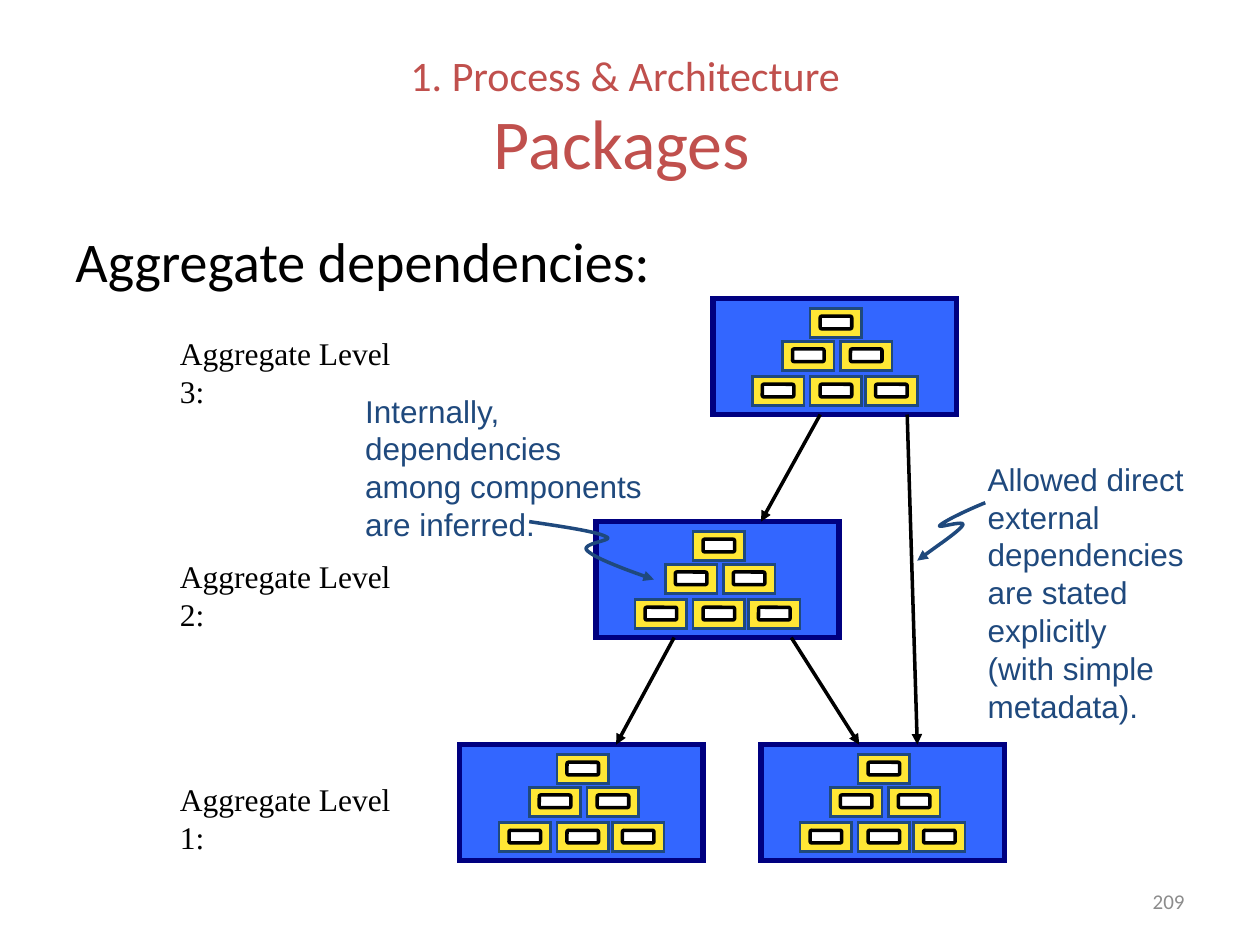
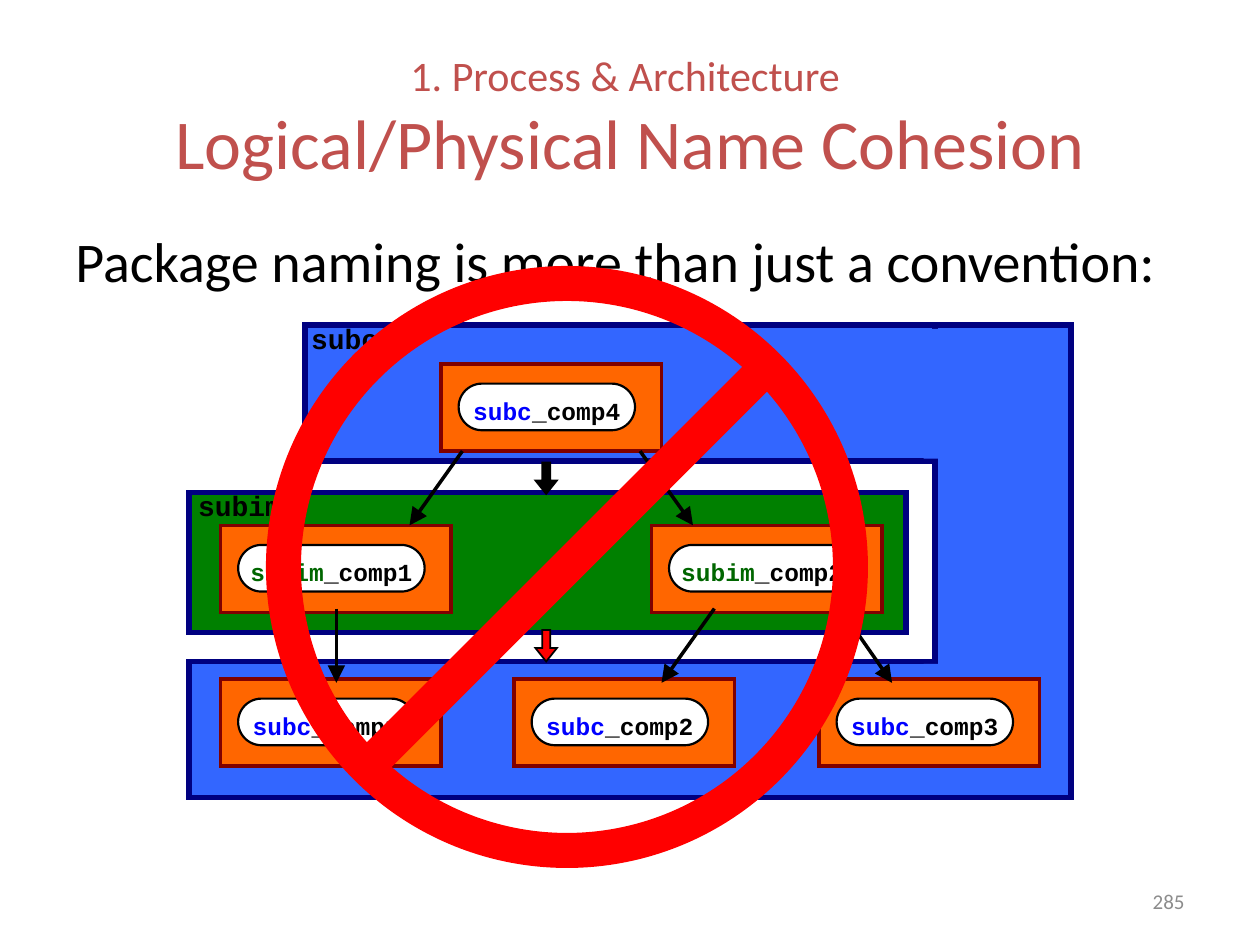
from typing import NamedTuple

from pptx import Presentation
from pptx.dml.color import RGBColor
from pptx.enum.shapes import MSO_CONNECTOR, MSO_SHAPE
from pptx.enum.text import MSO_ANCHOR, PP_ALIGN
from pptx.oxml import parse_xml
from pptx.oxml.ns import nsdecls, qn
from pptx.util import Inches, Pt

RECT, ROUND = MSO_SHAPE.RECTANGLE, MSO_SHAPE.ROUNDED_RECTANGLE
OVAL, DOWN = MSO_SHAPE.OVAL, MSO_SHAPE.DOWN_ARROW
LINE = MSO_CONNECTOR.STRAIGHT
LEFT, CENTER, RIGHT = PP_ALIGN.LEFT, PP_ALIGN.CENTER, PP_ALIGN.RIGHT
TOP, MIDDLE = MSO_ANCHOR.TOP, MSO_ANCHOR.MIDDLE

BLACK, WHITE, RED = "000000", "FFFFFF", "FF0000"
TITLE, GRAY = "C0504D", "8C8C8C"
BLUE, NAVY, SLATE = "3366FF", "000080", "1F497D"
YELLOW, GREEN = "FFE735", "008000"
ORANGE, MAROON = "FF6600", "800000"
SANS, ARIAL, SERIF, MONO = "Calibri", "Arial", "Times New Roman", "Courier New"

Point = tuple[float, float]


class Box(NamedTuple):
    x: float
    y: float
    w: float
    h: float


class Run(NamedTuple):
    text: str
    size: float
    color: str = BLACK


class Card(NamedTuple):
    x: float
    y: float
    w: float
    prefix: str
    name: str


PACK_W, PACK_H = 1.93, 0.92
PACKS = [(5.66, 2.37), (4.73, 4.14), (3.65, 5.91), (6.04, 5.91)]
CELLS = [(0.77, 0.08), (0.55, 0.34), (1.01, 0.34),
         (0.31, 0.62), (0.77, 0.62), (1.21, 0.62)]
LEVEL_TOP, LEVEL_GAP = 2.6, 1.77

NOTES = [
    (Box(2.8, 3.06, 2.47, 1.2),
     ["Internally, dependencies", "among components", "are inferred."]),
    (Box(7.74, 3.6, 2.01, 2.22),
     ["Allowed direct", "external", "dependencies are stated explicitly",
      "(with simple metadata)."]),
]

PACK_LINKS = [((5.35, 5.06), (4.89, 5.91)), ((6.28, 5.06), (6.82, 5.91)),
              ((6.51, 3.29), (6.04, 4.14)), ((7.2, 3.29), (7.28, 5.91))]

# Start point, then two control points and an end point for each bend.
CURVES = [
    [(4.2, 4.14), (4.47, 4.18), (4.74, 4.22), (4.81, 4.26),
     (4.89, 4.29), (4.6, 4.31), (4.66, 4.37),
     (4.72, 4.43), (4.96, 4.52), (5.19, 4.6)],
    [(7.82, 3.99), (7.65, 4.06), (7.49, 4.14), (7.46, 4.17),
     (7.43, 4.2), (7.67, 4.12), (7.64, 4.17),
     (7.61, 4.22), (7.44, 4.33), (7.28, 4.45)],
]

BANDS = [(Box(1.5, 3.91, 5.69, 1.11), GREEN),
         (Box(2.42, 2.58, 6.08, 1.08), BLUE),
         (Box(1.5, 5.25, 7, 1.08), BLUE),
         (Box(7.42, 2.58, 1.08, 3.75), BLUE)]
SEAMS = [Box(7.33, 5.27, 0.17, 1.04), Box(7.33, 2.61, 0.17, 1.03)]
PREFIX = {"subc": "0000FF", "subim": "006600"}
CARDS = [
    Card(3.5, 2.89, 1.75, "subc", "_comp4"),
    Card(1.75, 4.17, 1.83, "subim", "_comp1"),
    Card(5.17, 4.17, 1.83, "subim", "_comp2"),
    Card(1.75, 5.39, 1.75, "subc", "_comp1"),
    Card(4.08, 5.39, 1.75, "subc", "_comp2"),
    Card(6.5, 5.39, 1.75, "subc", "_comp3"),
]
CARD_LINKS = [((3.67, 3.58), (3.25, 4.17)), ((5.08, 3.58), (5.5, 4.17)),
              ((6.67, 4.83), (7.08, 5.42)), ((5.67, 4.83), (5.25, 5.42)),
              ((2.67, 4.83), (2.67, 5.42))]
BAND_NAMES = [("subc", 2.25, 2.5), ("subim", 1.42, 3.83)]


def rgb(color: str) -> RGBColor:
    return RGBColor.from_string(color)


def inches(values) -> list[int]:
    return [Inches(v) for v in values]


def write(frame, paras: list[list[Run]], *, font: str = SANS,
          bold: bool = False, align=LEFT, anchor=TOP) -> None:
    """Fill a text frame with paragraphs, each a list of runs."""
    frame.word_wrap = True
    frame.vertical_anchor = anchor
    for i, runs in enumerate(paras):
        para = frame.paragraphs[0] if i == 0 else frame.add_paragraph()
        para.alignment = align
        for part in runs:
            if part.text == "\n":
                para.add_line_break()
                continue
            run = para.add_run()
            run.text = part.text
            run.font.name, run.font.size = font, Pt(part.size)
            run.font.bold = bold
            run.font.color.rgb = rgb(part.color)


def label(slide, box: Box, paras: list[list[Run]], **style) -> None:
    write(slide.shapes.add_textbox(*inches(box)).text_frame, paras, **style)


def add_mark(item, tag: str, attrs: str) -> None:
    """Append one element, such as a join or an arrowhead, to the line."""
    ln = item._element.spPr.find(qn("a:ln"))
    ln.append(parse_xml(f'<a:{tag} {nsdecls("a")} {attrs}/>'))


def add_head(item, size: str = "med") -> None:
    add_mark(item, "tailEnd", f'type="triangle" w="{size}" len="{size}"')


def shape(slide, kind, box: Box, fill: str | None = None,
          line: str | None = None, width: float = 1,
          adjust: tuple[float, ...] = ()):
    item = slide.shapes.add_shape(kind, *inches(box))
    item.shadow.inherit = False
    for i, value in enumerate(adjust):
        item.adjustments[i] = value
    if fill:
        item.fill.solid()
        item.fill.fore_color.rgb = rgb(fill)
    else:
        item.fill.background()
    if line:
        item.line.color.rgb = rgb(line)
        item.line.width = Pt(width)
        add_mark(item, "miter", 'lim="800000"')
    else:
        item.line.fill.background()
    return item


def link(slide, start: Point, end: Point, color: str = BLACK,
         width: float = 2, head: str | None = "med") -> None:
    item = slide.shapes.add_connector(LINE, *inches((*start, *end)))
    item.line.color.rgb = rgb(color)
    item.line.width = Pt(width)
    if head:
        add_head(item, head)
    item._element.spPr.append(parse_xml(f'<a:effectLst {nsdecls("a")}/>'))


def bend(a: Point, b: Point, c: Point, d: Point, steps: int = 16) -> list[Point]:
    """Return points along a cubic curve, without its start."""
    points = []
    for i in range(1, steps + 1):
        t = i / steps
        u = 1 - t
        mix = (u ** 3, 3 * u * u * t, 3 * u * t * t, t ** 3)
        points.append(tuple(sum(m * p[k] for m, p in zip(mix, (a, b, c, d)))
                            for k in (0, 1)))
    return points


def curve(slide, knots: list[Point]) -> None:
    points = [inches(p) for i in range(0, len(knots) - 1, 3)
              for p in bend(*knots[i:i + 4])]
    pen = slide.shapes.build_freeform(*inches(knots[0]))
    pen.add_line_segments(points, close=False)
    item = pen.convert_to_shape()
    item.shadow.inherit = False
    item.fill.background()
    item.line.color.rgb = rgb(SLATE)
    item.line.width = Pt(2)
    add_head(item)


def start_slide(deck, title: str, body: str, number: str):
    """Add a blank slide with the shared title, lead line and number."""
    slide = deck.slides.add_slide(deck.slide_layouts[6])
    label(slide, Box(0.5, 0.3, 9, 1.25),
          [[Run("1. Process & Architecture ", 24, TITLE), Run("\n", 24),
            Run(title, 40, TITLE)]], align=CENTER, anchor=MIDDLE)
    label(slide, Box(0.5, 1.75, 9.08, 4.95), [[Run(body, 32)]])
    label(slide, Box(7.17, 6.95, 2.33, 0.4), [[Run(number, 12, GRAY)]],
          align=RIGHT, anchor=MIDDLE)
    return slide


def pack(slide, x: float, y: float) -> None:
    shape(slide, RECT, Box(x, y, PACK_W, PACK_H), BLUE, NAVY, 3)
    for dx, dy in CELLS:
        left, top = x + dx, y + dy
        shape(slide, RECT, Box(left, top, 0.41, 0.23), YELLOW, SLATE, 1.5)
        shape(slide, ROUND, Box(left + 0.08, top + 0.06, 0.25, 0.1),
              WHITE, BLACK, 2, (0.125,))


def draw_card(slide, card: Card) -> None:
    shape(slide, RECT, Box(card.x, card.y, card.w, 0.69), ORANGE, MAROON, 2)
    pill = shape(slide, ROUND,
                 Box(card.x + 0.14, card.y + 0.155, card.w - 0.35, 0.37),
                 WHITE, BLACK, 1.25, (0.5,))
    frame = pill.text_frame
    frame.margin_left = frame.margin_right = frame.margin_bottom = 0
    frame.margin_top = Inches(0.06)
    write(frame, [[Run(card.prefix, 14, PREFIX[card.prefix]),
                   Run(card.name, 14)]],
          font=MONO, bold=True, align=CENTER, anchor=MIDDLE)


def draw_packages(deck) -> None:
    slide = start_slide(deck, "Packages ", "Aggregate dependencies:", "209")
    for x, y in PACKS:
        pack(slide, x, y)
    for i, level in enumerate((3, 2, 1)):
        label(slide, Box(1.33, LEVEL_TOP + i * LEVEL_GAP, 1.98, 0.37),
              [[Run(f"Aggregate Level {level}:", 18)]], font=SERIF)
    for box, lines in NOTES:
        label(slide, box, [[Run(text, 18, SLATE)] for text in lines],
              font=ARIAL)
    for start, end in PACK_LINKS:
        link(slide, start, end)
    for knots in CURVES:
        curve(slide, knots)


def draw_naming(deck) -> None:
    slide = start_slide(deck, "Logical/Physical Name Cohesion",
                        "Package naming is more than just a convention:",
                        "285")
    for box, fill in BANDS:
        shape(slide, RECT, box, fill, NAVY, 3)
    for box in SEAMS:
        shape(slide, RECT, box, BLUE)
    for card in CARDS:
        draw_card(slide, card)
    for start, end in CARD_LINKS:
        link(slide, start, end, head="lg")
    for name, x, y in BAND_NAMES:
        label(slide, Box(x, y, 0.97, 0.37), [[Run(name, 16)]],
              font=MONO, bold=True, align=CENTER)
    for y, fill in ((3.67, BLACK), (5, RED)):
        shape(slide, DOWN, Box(4.25, y, 0.17, 0.25), fill, BLACK, 1,
              (0.375, 0.625))
    shape(slide, OVAL, Box(2.25, 2.25, 4.5, 4.5), line=RED, width=20)
    link(slide, (2.91, 6.09), (6.09, 2.91), RED, 20, head=None)


def main() -> None:
    deck = Presentation()
    deck.slide_width, deck.slide_height = Inches(10), Inches(7.5)
    draw_packages(deck)
    draw_naming(deck)
    deck.save("out.pptx")


if __name__ == "__main__":
    main()
